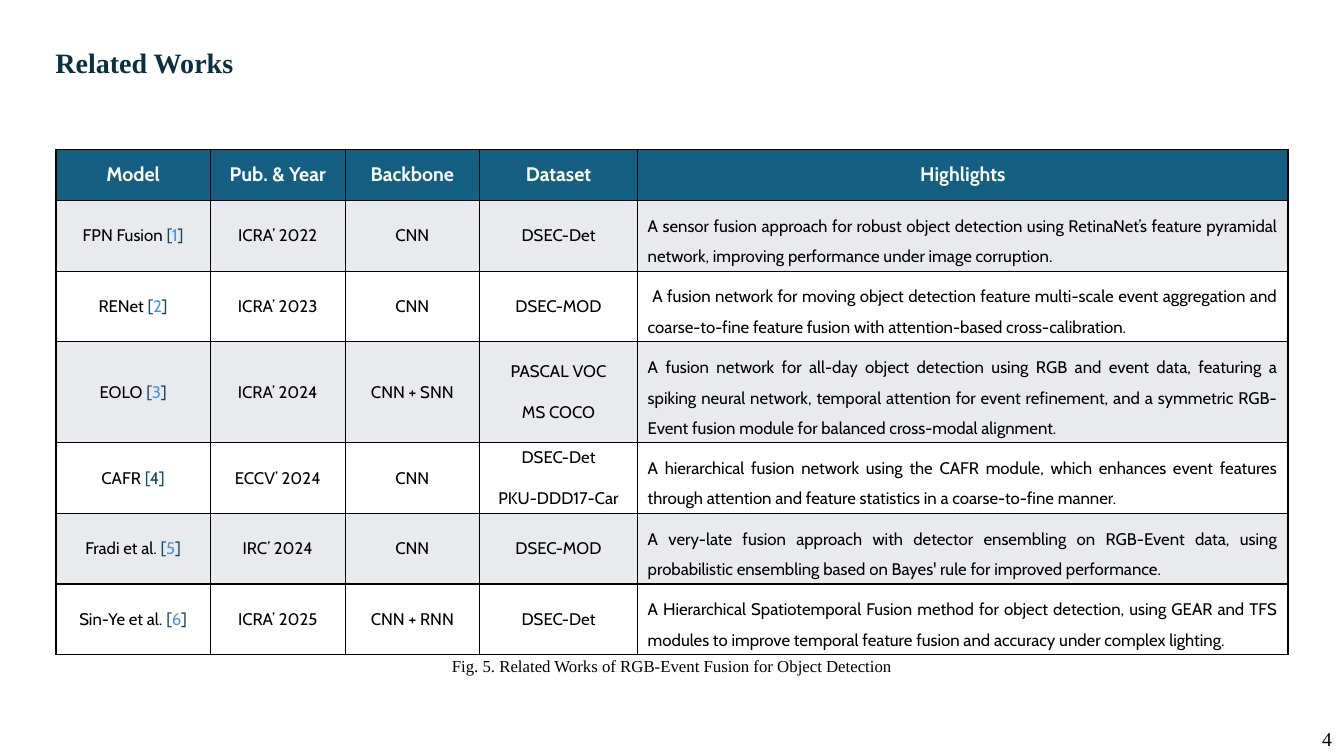
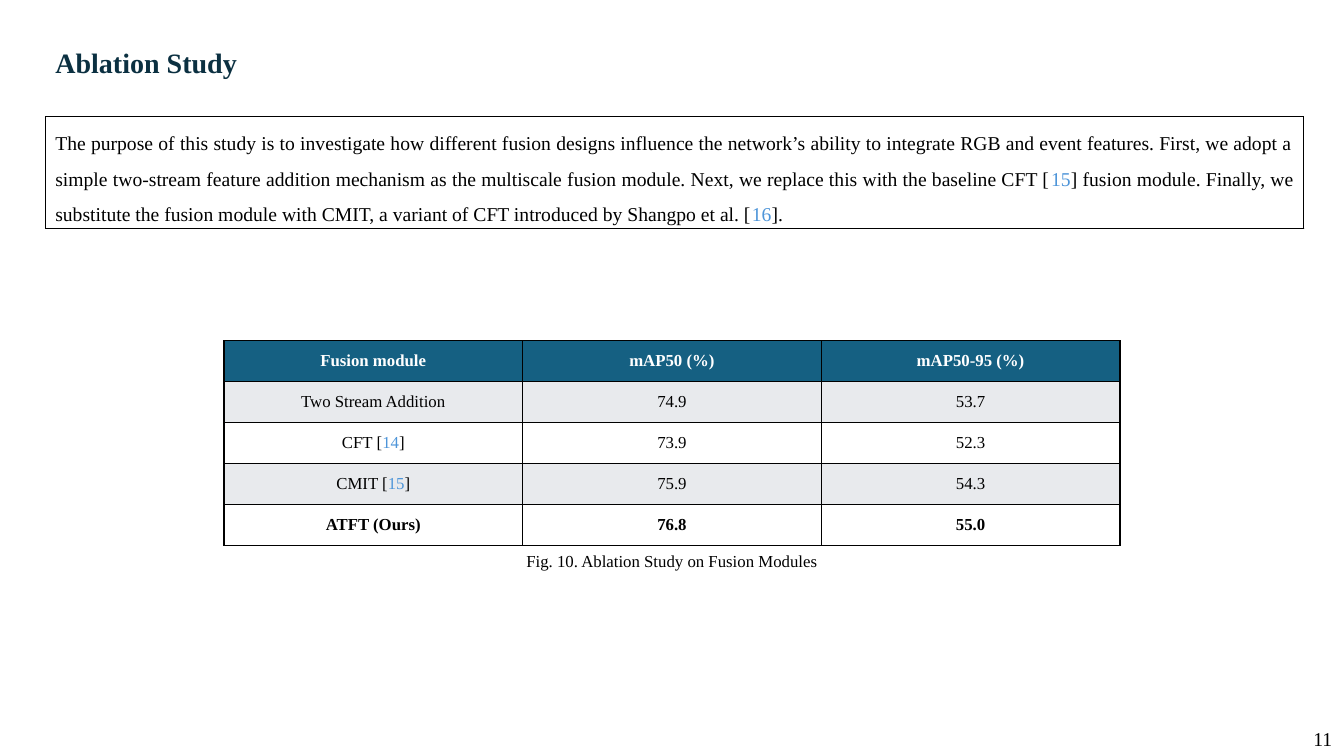
from dataclasses import dataclass, replace

from lxml.etree import SubElement
from pptx import Presentation
from pptx.dml.color import RGBColor
from pptx.enum.dml import MSO_LINE
from pptx.enum.shapes import MSO_SHAPE as Preset
from pptx.enum.text import MSO_ANCHOR as Anchor, MSO_AUTO_SIZE as AutoSize, PP_ALIGN as Align
from pptx.oxml.ns import qn
from pptx.util import Inches, Pt

PAGE_WIDTH, PAGE_HEIGHT = Inches(13.33), Inches(7.5)
LEFT_MARGIN = 3.38

BLACK = RGBColor(0x00, 0x00, 0x00)
WHITE = RGBColor(0xFF, 0xFF, 0xFF)
NAVY = RGBColor(0x0B, 0x30, 0x41)
TEAL = RGBColor(0x15, 0x60, 0x82)
BAND = RGBColor(0xE8, 0xEA, 0xED)
BRACKET = RGBColor(0x10, 0x48, 0x62)
CITATION = RGBColor(0x4E, 0x95, 0xD9)

SERIF, SANS = "Times New Roman", "Cabin"


@dataclass(frozen=True)
class Style:
    font: str = SERIF
    size: float = 12
    color: RGBColor = BLACK
    bold: bool = False
    align: Align = Align.CENTER
    spacing: float = 1.0
    gap: float = 0


TITLE = Style(size=20, color=NAVY, bold=True, align=Align.LEFT)
PAGE_NUMBER = Style(size=14)
BODY = Style(size=14, align=Align.JUSTIFY, spacing=1.5)
CAPTION = Style()
WORKS_HEAD = Style(SANS, 14, WHITE, True)
WORKS_CELL = Style(SANS, gap=14.6)
HIGHLIGHT = replace(WORKS_CELL, align=Align.JUSTIFY, spacing=1.5)
RESULT_HEAD = Style(color=WHITE, bold=True)
RESULT_CELL = Style()
RESULT_BEST = Style(bold=True)


def across(percent):
    return round(PAGE_WIDTH * percent / 100)


def down(percent):
    return round(PAGE_HEIGHT * percent / 100)


def area(left, top, width, height):
    return across(left), down(top), across(width), down(height)


def centred(top, width, height):
    return area((100 - width) / 2, top, width, height)


def cite(name, number, bracket=BRACKET, color=CITATION):
    return [name, ("[", bracket), (number, color), ("]", bracket)]


def write(frame, lines, style):
    for index, runs in enumerate(lines):
        para = frame.add_paragraph() if index else frame.paragraphs[0]
        para.alignment = style.align
        para.line_spacing = style.spacing
        if index:
            para.space_before = Pt(style.gap)
        para.font.name = style.font
        para.font.size = Pt(style.size)
        para.font.bold = style.bold
        para.font.color.rgb = style.color
        for part in runs:
            text, color = (part, None) if isinstance(part, str) else part
            span = para.add_run()
            span.text = text
            if color is not None:
                span.font.color.rgb = color


def fit_text(box, runs, style):
    frame = box.text_frame
    frame.word_wrap = True
    frame.auto_size = AutoSize.SHAPE_TO_FIT_TEXT
    write(frame, [runs], style)


def add_text(page, place, text, style):
    fit_text(page.shapes.add_textbox(*place), [text], style)


def add_framed_text(page, place, runs, style):
    box = page.shapes.add_shape(Preset.RECTANGLE, *place)
    box.shadow.inherit = False
    box.fill.solid()
    box.fill.fore_color.rgb = WHITE
    box.line.color.rgb = BLACK
    box.line.width = Pt(0.25)
    box.line.dash_style = MSO_LINE.ROUND_DOT
    fit_text(box, runs, style)


def add_borders(cell):
    properties = cell._tc.get_or_add_tcPr()
    for side in ("a:lnL", "a:lnR", "a:lnT", "a:lnB"):
        edge = SubElement(properties, qn(side), w=str(Pt(1)))
        paint = SubElement(edge, qn("a:solidFill"))
        SubElement(paint, qn("a:srgbClr"), val=str(BLACK))


def add_grid(page, place, weights, row_heights, rows, style_at):
    table = page.shapes.add_table(len(rows), len(weights), *place).table
    table.first_row = table.horz_banding = False
    for column, weight in zip(table.columns, weights):
        column.width = round(place[2] * weight / sum(weights))
    for row, height in zip(table.rows, row_heights):
        row.height = down(height)
    for r, values in enumerate(rows):
        for c, value in enumerate(values):
            cell = table.cell(r, c)
            add_borders(cell)
            cell.fill.solid()
            cell.fill.fore_color.rgb = TEAL if r == 0 else BAND if r % 2 else WHITE
            cell.vertical_anchor = Anchor.MIDDLE
            if isinstance(value, str):
                lines = [[line] for line in value.split("\n")]
            else:
                lines = [value]
            write(cell.text_frame, lines, style_at(r, c))


def add_page(deck, title, number, number_width):
    page = deck.slides.add_slide(deck.slide_layouts[6])
    add_text(page, area(LEFT_MARGIN, 5.33, 73.29, 5.87), title, TITLE)
    add_text(page, area(100 - number_width, 95.47, number_width, 4.53), number, PAGE_NUMBER)
    return page


def related_works(deck):
    page = add_page(deck, "Related Works", "4", 2.5)
    rows = [
        ["Model", "Pub. & Year", "Backbone", "Dataset", "Highlights"],
        [cite("FPN Fusion ", "1"), "ICRA’ 2022", "CNN", "DSEC-Det",
         "A sensor fusion approach for robust object detection using RetinaNet’s feature "
         "pyramidal network, improving performance under image corruption."],
        [cite("RENet ", "2"), "ICRA’ 2023", "CNN", "DSEC-MOD",
         " A fusion network for moving object detection feature multi-scale event aggregation "
         "and coarse-to-fine feature fusion with attention-based cross-calibration."],
        [cite("EOLO ", "3"), "ICRA’ 2024", "CNN + SNN", "PASCAL VOC\nMS COCO",
         "A fusion network for all-day object detection using RGB and event data, featuring "
         "a spiking neural network, temporal attention for event refinement, and a symmetric "
         "RGB-Event fusion module for balanced cross-modal alignment."],
        [cite("CAFR ", "4", color=BRACKET), "ECCV’ 2024", "CNN", "DSEC-Det\nPKU-DDD17-Car",
         "A hierarchical fusion network using the CAFR module, which enhances event features "
         "through attention and feature statistics in a coarse-to-fine manner."],
        [cite("Fradi et al. ", "5"), "IRC’ 2024", "CNN", "DSEC-MOD",
         "A very-late fusion approach with detector ensembling on RGB-Event data, using "
         "probabilistic ensembling based on Bayes' rule for improved performance."],
        [cite("Sin-Ye et al. ", "6"), "ICRA’ 2025", "CNN + RNN", "DSEC-Det",
         "A Hierarchical Spatiotemporal Fusion method for object detection, using GEAR and TFS "
         "modules to improve temporal feature fusion and accuracy under complex lighting."],
    ]

    def style_at(row, column):
        if row == 0:
            return WORKS_HEAD
        return HIGHLIGHT if column == 4 else WORKS_CELL

    heights = [6.8] + [8.67] * (len(rows) - 1)
    add_grid(page, centred(19.73, 91.67, sum(heights)),
             [1.53, 1.34, 1.33, 1.57, 6.45], heights, rows, style_at)
    add_text(page, centred(86.13, 40, 4),
             "Fig. 5. Related Works of RGB-Event Fusion for Object Detection", CAPTION)


def ablation_study(deck):
    page = add_page(deck, "Ablation Study", "11", 3.15)
    purpose = [
        "The purpose of this study is to investigate how different fusion designs influence the "
        "network’s ability to integrate RGB and event features. First, we adopt a simple "
        "two-stream feature addition mechanism as the multiscale fusion module. Next, we replace "
        "this with the baseline CFT [", ("15", CITATION),
        "] fusion module. Finally, we substitute the fusion module with CMIT, a variant of CFT "
        "introduced by Shangpo et al. [", ("16", CITATION), "].",
    ]
    add_framed_text(page, area(LEFT_MARGIN, 15.33, 93.62, 14.93), purpose, BODY)
    rows = [
        ["Fusion module", "mAP50 (%)", "mAP50-95 (%)"],
        ["Two Stream Addition", "74.9", "53.7"],
        [cite("CFT ", "14", BLACK), "73.9", "52.3"],
        [cite("CMIT ", "15", BLACK), "75.9", "54.3"],
        ["ATFT (Ours)", "76.8", "55.0"],
    ]

    def style_at(row, column):
        return {0: RESULT_HEAD, len(rows) - 1: RESULT_BEST}.get(row, RESULT_CELL)

    heights = [5.42] * len(rows)
    add_grid(page, centred(45.07, 66.67, sum(heights)), [1] * 3, heights, rows, style_at)
    add_text(page, centred(72.13, 30.7, 4), "Fig. 10. Ablation Study on Fusion Modules", CAPTION)


def main():
    deck = Presentation()
    deck.slide_width, deck.slide_height = PAGE_WIDTH, PAGE_HEIGHT
    related_works(deck)
    ablation_study(deck)
    deck.save("out.pptx")


if __name__ == "__main__":
    main()
